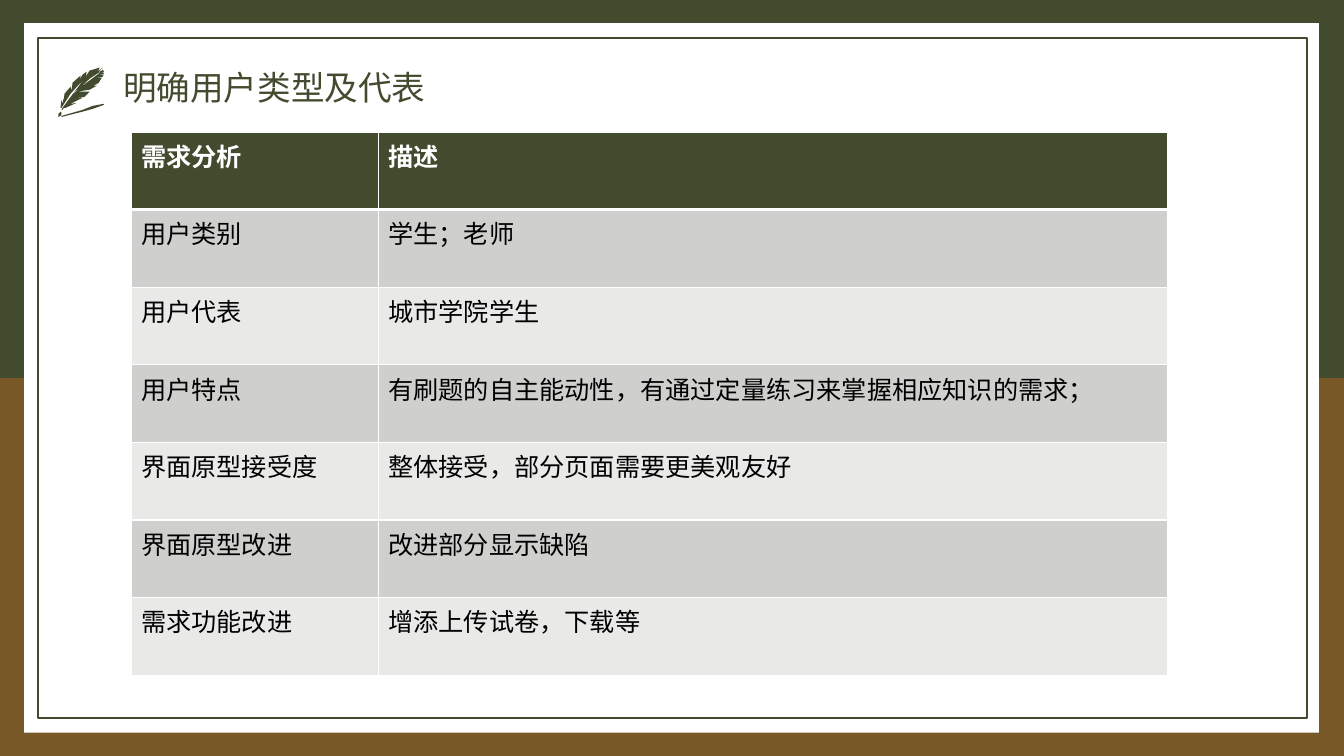
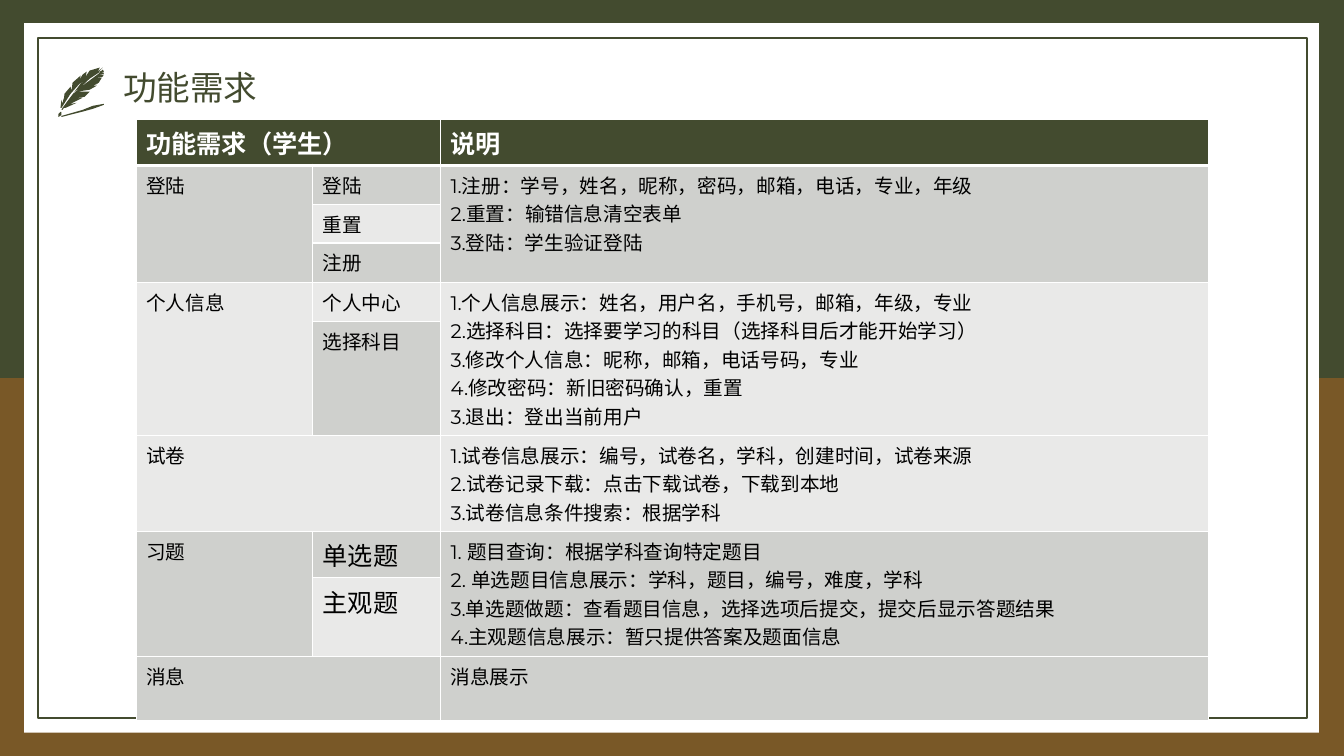
import pptx
import pptx.util
import pptx.dml.color
import pptx.enum.shapes
import pptx.enum.text
import pptx.oxml.ns
import lxml.etree

Inches = pptx.util.Inches
Pt = pptx.util.Pt
RGBColor = pptx.dml.color.RGBColor

OLIVE = RGBColor(0x43, 0x4B, 0x2F)
BROWN = RGBColor(0x79, 0x58, 0x27)
WHITE = RGBColor(0xFF, 0xFF, 0xFF)
BLACK = RGBColor(0, 0, 0)
BANDS = (RGBColor(0xE9, 0xE9, 0xE8), RGBColor(0xCF, 0xD0, 0xCD))
TITLE_FONT = "Arial"
TABLE_FONT = "Montserrat"
WIDTH, HEIGHT = 13.33, 7.5
FEATHER_BOX = (0.58, 0.67)
TITLE_BOX = (1.12, 0.65, 6, 0.48)

FEATHER = [
    [(41, 0), (39, 4), (44, 0), (40, 4), (36, 7), (21, 16), (12, 26), (3, 40), (2, 40),
     (3, 32), (4, 36), (5, 31), (5, 34), (6, 26), (12, 19), (13, 23), (14, 15), (22, 8),
     (21, 12), (24, 7), (28, 4), (27, 9), (31, 3)],
    [(44, 2), (45, 4), (42, 6), (45, 5), (45, 6), (39, 8), (45, 7), (44, 9), (36, 11),
     (43, 10), (40, 15), (35, 17), (39, 16), (34, 18), (38, 18), (31, 22), (18, 24),
     (31, 24), (26, 29), (15, 31), (24, 30), (12, 36), (8, 37), (18, 35), (7, 40),
     (5, 40), (16, 24), (32, 12), (40, 6)],
    [(43, 3), (31, 11), (15, 26), (4, 42), (3, 42), (4, 40), (22, 16), (37, 6)],
    [(2, 44), (3, 44), (3, 47), (0, 49), (0, 46)],
    [(45, 36), (45, 37), (34, 41), (23, 44), (3, 49), (3, 48), (24, 42), (34, 38)],
]

USER_ROWS = [
    ("需求分析", "描述"),
    ("用户类别", "学生；老师"),
    ("用户代表", "城市学院学生"),
    ("用户特点", "有刷题的自主能动性，有通过定量练习来掌握相应知识的需求；"),
    ("界面原型接受度", "整体接受，部分页面需要更美观友好"),
    ("界面原型改进", "改进部分显示缺陷"),
    ("需求功能改进", "增添上传试卷，下载等"),
]

FUNCTION_GROUPS = [
    ("功能需求（学生）", [], ["说明"]),
    ("登陆", ["登陆", "重置", "注册"], [
        "1.注册：学号，姓名，昵称，密码，邮箱，电话，专业，年级",
        "2.重置：输错信息清空表单",
        "3.登陆：学生验证登陆"]),
    ("个人信息", ["个人中心", "选择科目"], [
        "1.个人信息展示：姓名，用户名，手机号，邮箱，年级，专业",
        "2.选择科目：选择要学习的科目（选择科目后才能开始学习）",
        "3.修改个人信息：昵称，邮箱，电话号码，专业",
        "4.修改密码：新旧密码确认，重置",
        "3.退出：登出当前用户"]),
    ("试卷", [], [
        "1.试卷信息展示：编号，试卷名，学科，创建时间，试卷来源",
        "2.试卷记录下载：点击下载试卷，下载到本地",
        "3.试卷信息条件搜索：根据学科"]),
    ("习题", ["单选题", "主观题"], [
        "1. 题目查询：根据学科查询特定题目",
        "2. 单选题目信息展示：学科，题目，编号，难度，学科",
        "3.单选题做题：查看题目信息，选择选项后提交，提交后显示答题结果",
        "4.主观题信息展示：暂只提供答案及题面信息"]),
    ("消息", [], ["消息展示"]),
]
LARGE_TOPICS = ("单选题", "主观题")


def add_panel(slide, box, fill=None, line=None):
    panel = slide.shapes.add_shape(
        pptx.enum.shapes.MSO_SHAPE.RECTANGLE, *map(Inches, box))
    panel.shadow.inherit = False
    if fill is None:
        panel.fill.background()
    else:
        panel.fill.solid()
        panel.fill.fore_color.rgb = fill
    if line is None:
        panel.line.fill.background()
    else:
        panel.line.color.rgb = line
        panel.line.width = Pt(1.5)
    return panel


def add_feather(slide, left, top):
    outline = slide.shapes.build_freeform(*FEATHER[0][0], scale=Inches(0.01))
    for contour in FEATHER:
        outline.move_to(*contour[0])
        outline.add_line_segments(contour[1:], close=True)
    feather = outline.convert_to_shape(Inches(left), Inches(top))
    feather.shadow.inherit = False
    feather.fill.solid()
    feather.fill.fore_color.rgb = OLIVE
    feather.line.fill.background()
    return feather


def furnish_layout(layout, slide):
    half = HEIGHT / 2
    decorations = [
        add_panel(slide, (0, half, WIDTH, half), BROWN),
        add_panel(slide, (0, 0, WIDTH, half), OLIVE),
        add_panel(slide, (0.24, 0.23, 12.84, 7.04), WHITE),
        add_panel(slide, (0.38, 0.38, 12.58, 6.74), line=OLIVE),
        add_feather(slide, *FEATHER_BOX),
    ]
    for order, decoration in enumerate(decorations):
        element = decoration._element
        element.nvSpPr.cNvPr.set("id", str(100 + order))
        layout.shapes._spTree.insert(2 + order, element)


def write_title(slide, text, box):
    title = slide.shapes.title
    title.left, title.top, title.width, title.height = map(Inches, box)
    frame = title.text_frame
    frame.word_wrap = True
    frame.auto_size = pptx.enum.text.MSO_AUTO_SIZE.NONE
    frame.vertical_anchor = pptx.enum.text.MSO_ANCHOR.MIDDLE
    heading = frame.paragraphs[0]
    heading.alignment = pptx.enum.text.PP_ALIGN.LEFT
    heading.line_spacing = 0.9
    run = heading.add_run()
    run.text = text
    run.font.name = TITLE_FONT
    run.font.size = Pt(24)
    run.font.color.rgb = OLIVE


def set_borders(cell, top, bottom):
    properties = cell._tc.get_or_add_tcPr()
    for side, width in (("L", 1), ("R", 1), ("T", top), ("B", bottom)):
        border = lxml.etree.SubElement(
            properties, pptx.oxml.ns.qn("a:ln" + side), w=str(Pt(width)))
        solid = lxml.etree.SubElement(border, pptx.oxml.ns.qn("a:solidFill"))
        lxml.etree.SubElement(solid, pptx.oxml.ns.qn("a:srgbClr"), val=str(WHITE))


def write_cell(cell, lines, size, header):
    for index, line in enumerate(lines):
        frame = cell.text_frame
        paragraph = frame.add_paragraph() if index else frame.paragraphs[0]
        run = paragraph.add_run()
        run.text = line
        run.font.name = TABLE_FONT
        run.font.size = Pt(size)
        run.font.bold = header
        run.font.color.rgb = WHITE if header else BLACK


def add_grid(slide, left, top, columns, heights):
    frame = slide.shapes.add_table(
        len(heights), len(columns), Inches(left), Inches(top),
        Inches(sum(columns)), Inches(sum(heights)))
    grid = frame.table
    grid.horz_banding = False
    for column, width in zip(grid.columns, columns):
        column.width = Inches(width)
    for index, (row, height) in enumerate(zip(grid.rows, heights)):
        row.height = Inches(height)
        for cell in row.cells:
            set_borders(cell, 3 if index == 1 else 1, 3 if index == 0 else 1)
            cell.fill.solid()
            cell.fill.fore_color.rgb = BANDS[index % 2] if index else OLIVE
    return grid


def add_user_table(slide, left, top):
    grid = add_grid(slide, left, top, (2.45, 7.83), [0.77] * len(USER_ROWS))
    for row, texts in enumerate(USER_ROWS):
        for column, text in enumerate(texts):
            write_cell(grid.cell(row, column), [text], 18, row == 0)


def add_function_table(slide, left, top):
    heights = (0.46, 0.38, 0.38, 0.39, 0.39, 1.13, 0.95, 0.46, 0.78, 0.64)
    grid = add_grid(slide, left, top, (1.75, 1.27, 7.62), heights)
    row = 0
    for name, topics, notes in FUNCTION_GROUPS:
        header = row == 0
        size = 18 if header else 14
        last = row + max(len(topics), 1) - 1
        grid.cell(row, 0).merge(grid.cell(last, 0 if topics else 1))
        if last > row:
            grid.cell(row, 2).merge(grid.cell(last, 2))
        write_cell(grid.cell(row, 0), [name], size, header)
        write_cell(grid.cell(row, 2), notes, size, header)
        for offset, topic in enumerate(topics):
            topic_size = 18 if topic in LARGE_TOPICS else 14
            write_cell(grid.cell(row + offset, 1), [topic], topic_size, False)
        row = last + 1


def main():
    deck = pptx.Presentation()
    deck.slide_width, deck.slide_height = Inches(WIDTH), Inches(HEIGHT)
    layout = deck.slide_layouts[5]

    users = deck.slides.add_slide(layout)
    furnish_layout(layout, users)
    write_title(users, "明确用户类型及代表", TITLE_BOX)
    add_user_table(users, 1.3, 1.31)

    functions = deck.slides.add_slide(layout)
    write_title(functions, "功能需求", TITLE_BOX)
    add_function_table(functions, 1.35, 1.18)

    deck.save("out.pptx")


if __name__ == "__main__":
    main()
